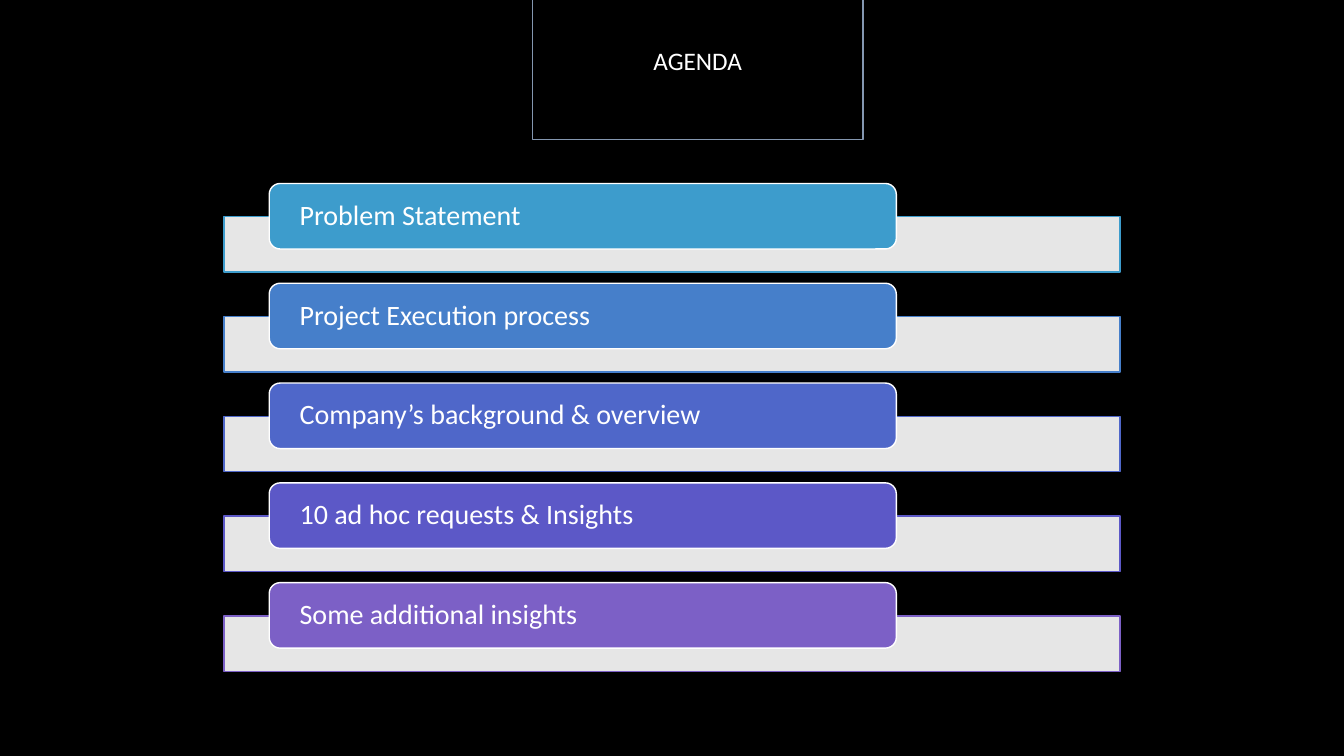
from lxml import etree
from pptx import Presentation
from pptx.dml.color import RGBColor
from pptx.enum.shapes import MSO_SHAPE
from pptx.enum.text import MSO_ANCHOR, MSO_AUTO_SIZE, PP_ALIGN
from pptx.oxml.ns import qn
from pptx.util import Inches, Pt

RECT = MSO_SHAPE.RECTANGLE
ROUND = MSO_SHAPE.ROUNDED_RECTANGLE
MIDDLE = MSO_ANCHOR.MIDDLE
GROW = MSO_AUTO_SIZE.SHAPE_TO_FIT_TEXT
LEFT, CENTER = PP_ALIGN.LEFT, PP_ALIGN.CENTER

BLACK = RGBColor(0x00, 0x00, 0x00)
WHITE = RGBColor(0xFF, 0xFF, 0xFF)
STEEL = RGBColor(0x84, 0x97, 0xB0)
FONT = "Calibri"

TOPICS = [
    ("Problem Statement", RGBColor(0x3D, 0x9C, 0xCC)),
    ("Project Execution process", RGBColor(0x46, 0x7F, 0xCA)),
    ("Company’s background & overview", RGBColor(0x4F, 0x67, 0xC9)),
    ("10 ad hoc requests & Insights", RGBColor(0x5C, 0x58, 0xC7)),
    ("Some additional insights", RGBColor(0x7C, 0x60, 0xC6)),
]
TOP = 1.82
PITCH = 0.99
DROP = 0.33


def set_text(shape, text, size, align):
    """Write one white line of text into a shape."""
    frame = shape.text_frame
    frame.text = text
    frame.word_wrap = True
    para = frame.paragraphs[0]
    para.alignment = align
    font = para.runs[0].font
    font.name = FONT
    font.size = Pt(size)
    font.color.rgb = WHITE


def add_title(slide):
    """Place the framed heading."""
    title = slide.shapes.title
    title.left, title.top = Inches(5.28), Inches(0.4)
    title.width, title.height = Inches(3.28), Inches(0.4)
    title.line.color.rgb = STEEL
    title.line.width = Pt(0.75)
    set_text(title, "AGENDA", 18, CENTER)
    title.text_frame.auto_size = GROW


def add_box(slide, kind, area, fill, line):
    """Add a filled and outlined shape."""
    box = slide.shapes.add_shape(kind, *[Inches(n) for n in area])
    box.shadow.inherit = False
    box.fill.solid()
    box.fill.fore_color.rgb = fill
    box.line.color.rgb = line
    box.line.width = Pt(1)
    return box


def set_alpha(shape, share):
    """Make a solid fill partly clear."""
    color = shape.fill._xPr.find(qn("a:solidFill"))[0]
    etree.SubElement(color, qn("a:alpha"), val=str(share * 1000))


def add_topic(slide, top, text, color):
    """Add a pale bar with a coloured label over it."""
    bar = add_box(slide, RECT, (2.22, top + DROP, 8.89, 0.55), WHITE, color)
    set_alpha(bar, 90)
    label = add_box(slide, ROUND, (2.67, top, 6.22, 0.65), color, WHITE)
    set_text(label, text, 20, LEFT)
    frame = label.text_frame
    frame.vertical_anchor = MIDDLE
    frame.margin_left = frame.margin_right = Inches(0.27)
    frame.margin_top = frame.margin_bottom = 0
    frame.paragraphs[0].line_spacing = 0.9


def main():
    """Build the agenda slide."""
    deck = Presentation()
    deck.slide_width, deck.slide_height = Inches(13.33), Inches(7.5)
    slide = deck.slides.add_slide(deck.slide_layouts[5])
    slide.background.fill.solid()
    slide.background.fill.fore_color.rgb = BLACK
    add_title(slide)
    for row, (text, color) in enumerate(TOPICS):
        add_topic(slide, TOP + row * PITCH, text, color)
    deck.save("out.pptx")


if __name__ == "__main__":
    main()
